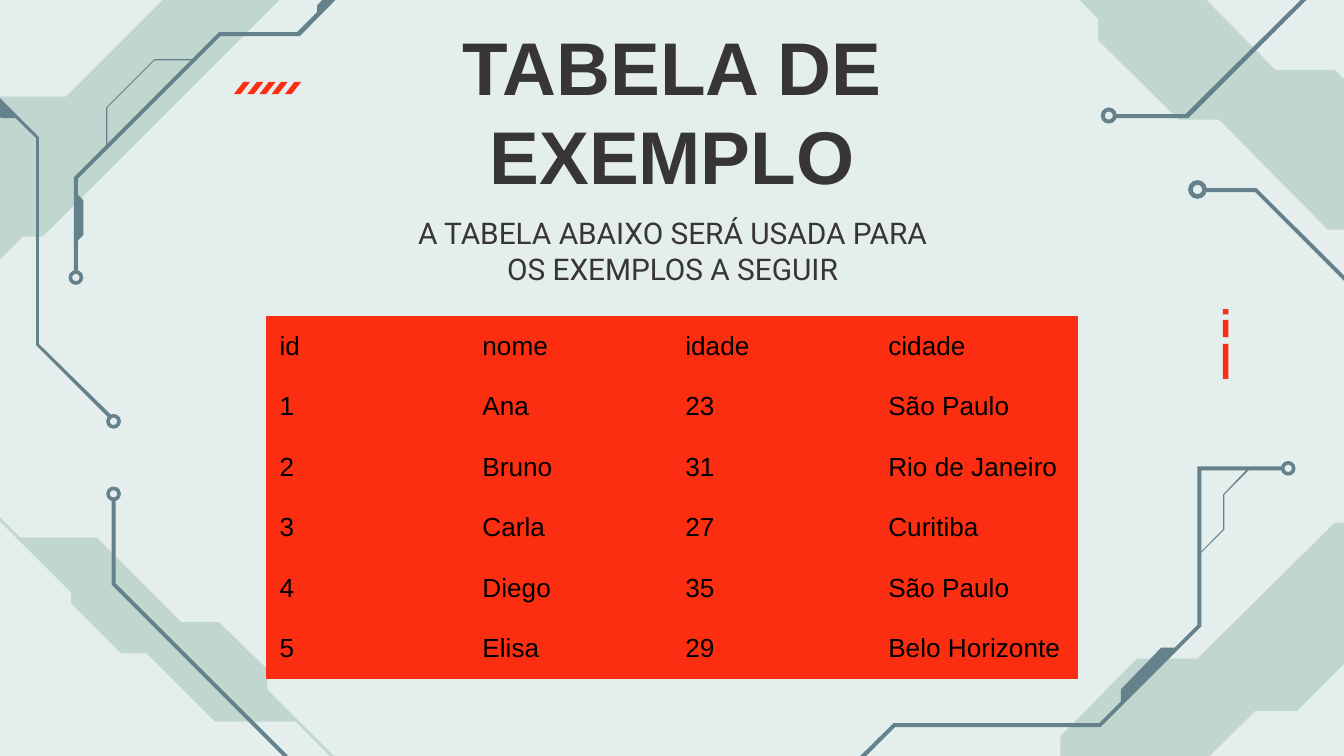
import dataclasses
import typing

import pptx
import pptx.dml.color
import pptx.dml.fill
import pptx.enum.shapes
import pptx.enum.text
import pptx.oxml.ns
import pptx.slide
import pptx.util

SCALE = 9144
WIDTH = 1000
MINT, SAGE, SLATE = "E3EEED", "C1D6CE", "64818C"
RED, INK, BLACK = "FC2E12", "383536", "000000"
KIND = pptx.enum.shapes.MSO_SHAPE
ANCHOR = pptx.enum.text.MSO_ANCHOR
ALIGN = pptx.enum.text.PP_ALIGN
FIT = pptx.enum.text.MSO_AUTO_SIZE
PLAIN = "{2D5ABB26-0587-4C30-8999-92F81FD0307C}"
Points = tuple[tuple[int, int], ...]


@dataclasses.dataclass
class Box:
    left: int
    top: int
    width: int
    height: int


@dataclasses.dataclass
class Style:
    size: int
    name: str
    color: str
    bold: bool = False


PATCHES: list[Points] = [
    ((849, -49), (949, 52), (993, 52), (1050, 108), (1050, 135), (1086, 171),
     (988, 171), (907, 89), (877, 89), (817, 30), (817, 14), (755, -49)),
    ((-206, 179), (-208, 180), (53, 441), (53, 449), (90, 486), (109, 486),
     (160, 537), (220, 537), (482, 800), (484, 798), (199, 513), (199, 498),
     (163, 463), (135, 463), (72, 400), (15, 400)),
    ((993, 389), (891, 490), (846, 490), (789, 548), (789, 575), (752, 611),
     (851, 611), (934, 529), (965, 529), (1025, 469), (1025, 453), (1089, 389)),
    ((121, 0), (49, 72), (-16, 72), (-162, 217), (-25, 218), (17, 176),
     (32, 176), (208, 0)),
]
TRACES: list[Points] = [
    ((83, 370), (83, 435), (211, 563), (211, 602), (214, 602), (214, 562),
     (86, 434), (86, 370)),
    ((1120, 266), (1057, 266), (934, 143), (897, 143), (897, 140), (935, 140),
     (1058, 263), (1120, 263)),
    ((955, 347), (891, 347), (891, 465), (818, 538), (665, 538), (609, 593),
     (612, 595), (666, 541), (819, 541), (894, 466), (894, 350), (955, 350)),
    ((877, 482), (864, 482), (834, 513), (834, 525)),
    ((930, 349), (929, 348), (910, 368), (910, 394), (892, 412), (893, 412),
     (911, 394), (911, 368)),
    ((57, 144), (62, 149), (62, 175), (57, 180)),
    ((262, -15), (236, 11), (236, 4), (254, -15)),
    ((300, -55), (302, -53), (223, 27), (164, 27), (58, 133), (58, 203),
     (55, 203), (55, 132), (163, 24), (221, 24)),
    ((145, 44), (145, 45), (115, 45), (80, 80), (80, 109), (79, 109),
     (79, 80), (115, 44)),
    ((1023, -19), (991, -19), (884, 88), (829, 88), (829, 85), (882, 85),
     (990, -22), (1023, -22)),
    ((-164, -33), (-164, 31), (-46, 31), (27, 103), (27, 257), (82, 312),
     (84, 310), (29, 256), (29, 102), (-45, 28), (-161, 28), (-161, -33)),
    ((-29, 45), (-29, 57), (1, 88), (13, 88)),
]
RINGS = [(79, 362, 11), (884, 134, 14), (953, 343, 11), (51, 201, 11),
         (819, 80, 12), (79, 308, 11)]
BARS = [(230, 4), (238, 13), (256, 26)]
ROWS = [
    ("id", "nome", "idade", "cidade"),
    ("1", "Ana", "23", "São Paulo"),
    ("2", "Bruno", "31", "Rio de Janeiro"),
    ("3", "Carla", "27", "Curitiba"),
    ("4", "Diego", "35", "São Paulo"),
    ("5", "Elisa", "29", "Belo Horizonte"),
]


def emu(px: int) -> pptx.util.Emu:
    return pptx.util.Emu(px * SCALE)


def place(box: Box) -> list[pptx.util.Emu]:
    return [emu(px) for px in dataclasses.astuple(box)]


def apply(item: typing.Any, values: dict[str, typing.Any]) -> None:
    for name, value in values.items():
        setattr(item, name, value)


def paint(fill: pptx.dml.fill.FillFormat, color: str) -> None:
    fill.solid()
    fill.fore_color.rgb = pptx.dml.color.RGBColor.from_string(color)


def finish(shape: typing.Any, color: str) -> None:
    paint(shape.fill, color)
    shape.line.fill.background()
    shape.shadow.inherit = False


def outline(slide: pptx.slide.Slide, points: Points, color: str) -> None:
    pen = slide.shapes.build_freeform(*points[0], scale=SCALE)
    pen.add_line_segments(points[1:], close=True)
    finish(pen.convert_to_shape(), color)


def preset(slide: pptx.slide.Slide, kind: KIND, box: Box, color: str) -> typing.Any:
    shape = slide.shapes.add_shape(kind, *place(box))
    finish(shape, color)
    return shape


def write(frame: typing.Any, text: str, style: Style, align: ALIGN) -> None:
    frame.text = text
    line = frame.paragraphs[0]
    line.alignment = align
    font = line.runs[0].font
    apply(font, {"size": pptx.util.Pt(style.size), "name": style.name,
                 "bold": style.bold})
    paint(font.fill, style.color)


def label(shape: typing.Any, box: Box, text: str, style: Style,
          inset: int, anchor: ANCHOR) -> None:
    apply(shape, dict(zip(("left", "top", "width", "height"), place(box))))
    frame = shape.text_frame
    write(frame, text, style, ALIGN.CENTER)
    apply(frame, {"word_wrap": True, "auto_size": FIT.NONE,
                  "vertical_anchor": anchor,
                  "margin_left": emu(10), "margin_right": emu(10),
                  "margin_top": emu(inset), "margin_bottom": emu(inset)})


def grid(slide: pptx.slide.Slide, box: Box, style: Style) -> None:
    frame = slide.shapes.add_table(len(ROWS), len(ROWS[0]), *place(box))
    table = frame.table
    apply(table, {"first_row": False, "horz_banding": False})
    table._tbl.tblPr.find(pptx.oxml.ns.qn("a:tableStyleId")).text = PLAIN
    for row, texts in enumerate(ROWS):
        for col, text in enumerate(texts):
            cell = table.cell(row, col)
            paint(cell.fill, RED)
            cell.vertical_anchor = ANCHOR.MIDDLE
            write(cell.text_frame, text, style, ALIGN.LEFT)


def main() -> None:
    deck = pptx.Presentation()
    apply(deck, {"slide_width": emu(WIDTH), "slide_height": emu(WIDTH) * 9 // 16})
    slide = deck.slides.add_slide(deck.slide_layouts[5])
    paint(slide.background.fill, MINT)
    for points in PATCHES:
        outline(slide, points, SAGE)
    for points in TRACES:
        outline(slide, points, SLATE)
    for left, top, size in RINGS:
        preset(slide, KIND.DONUT, Box(left, top, size, size), SLATE)
    for top, height in BARS:
        preset(slide, KIND.RECTANGLE, Box(910, top, 4, height), RED)
    for step in range(5):
        box = Box(round(174 + 9.5 * step), 61, 12, 9)
        preset(slide, KIND.PARALLELOGRAM, box, RED).adjustments[0] = 0.78

    label(slide.shapes.title, Box(235, 25, 530, 114), "TABELA DE EXEMPLO",
          Style(40, "Arial", INK, True), 10, ANCHOR.MIDDLE)
    grid(slide, Box(198, 235, 604, 270), Style(14, "Arial", BLACK))
    box = Box(299, 155, 403, 64)
    label(slide.shapes.add_textbox(*place(box)), box,
          "A TABELA ABAIXO SERÁ USADA PARA OS EXEMPLOS A SEGUIR",
          Style(16, "Roboto", INK), 5, ANCHOR.TOP)
    deck.save("out.pptx")


if __name__ == "__main__":
    main()
